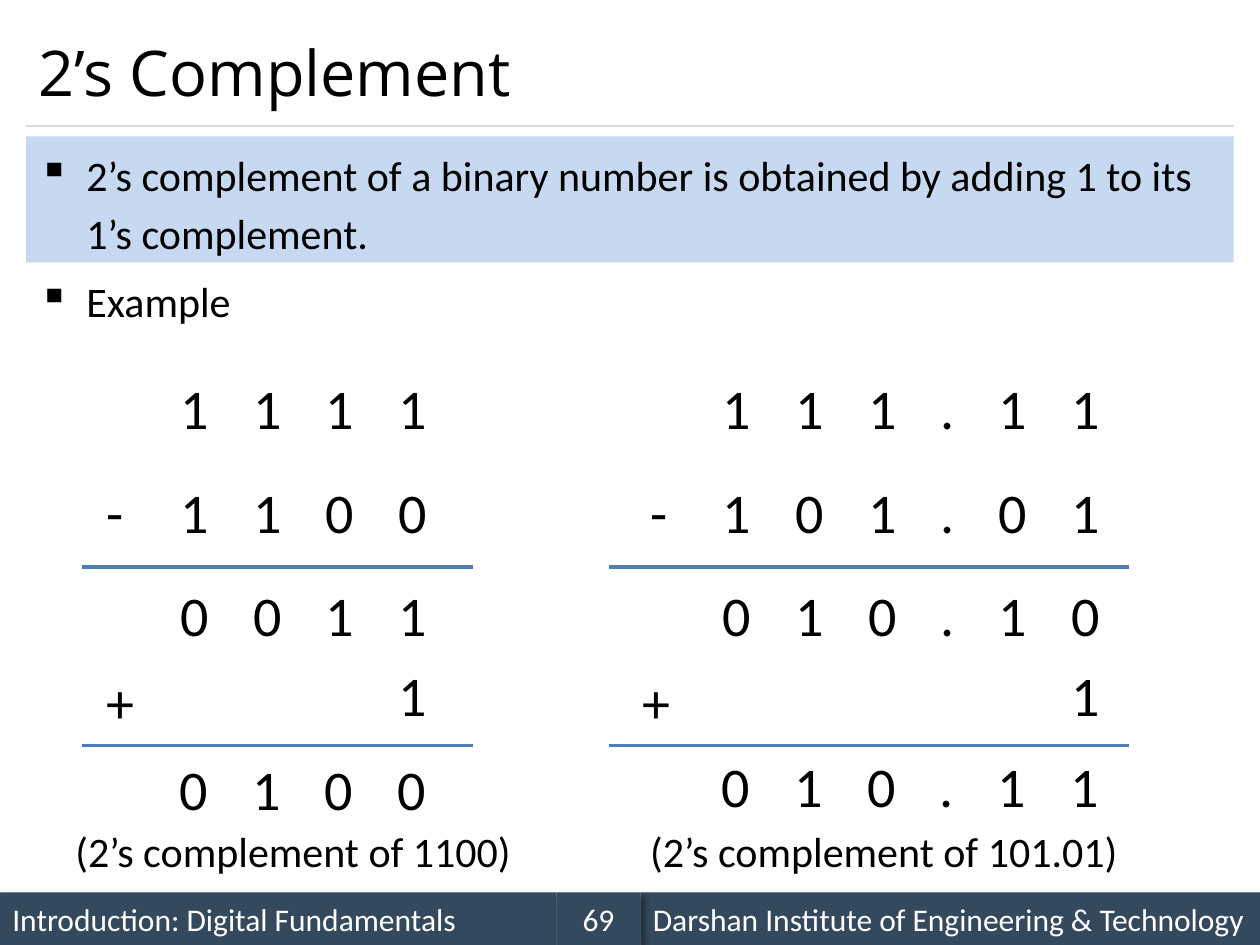
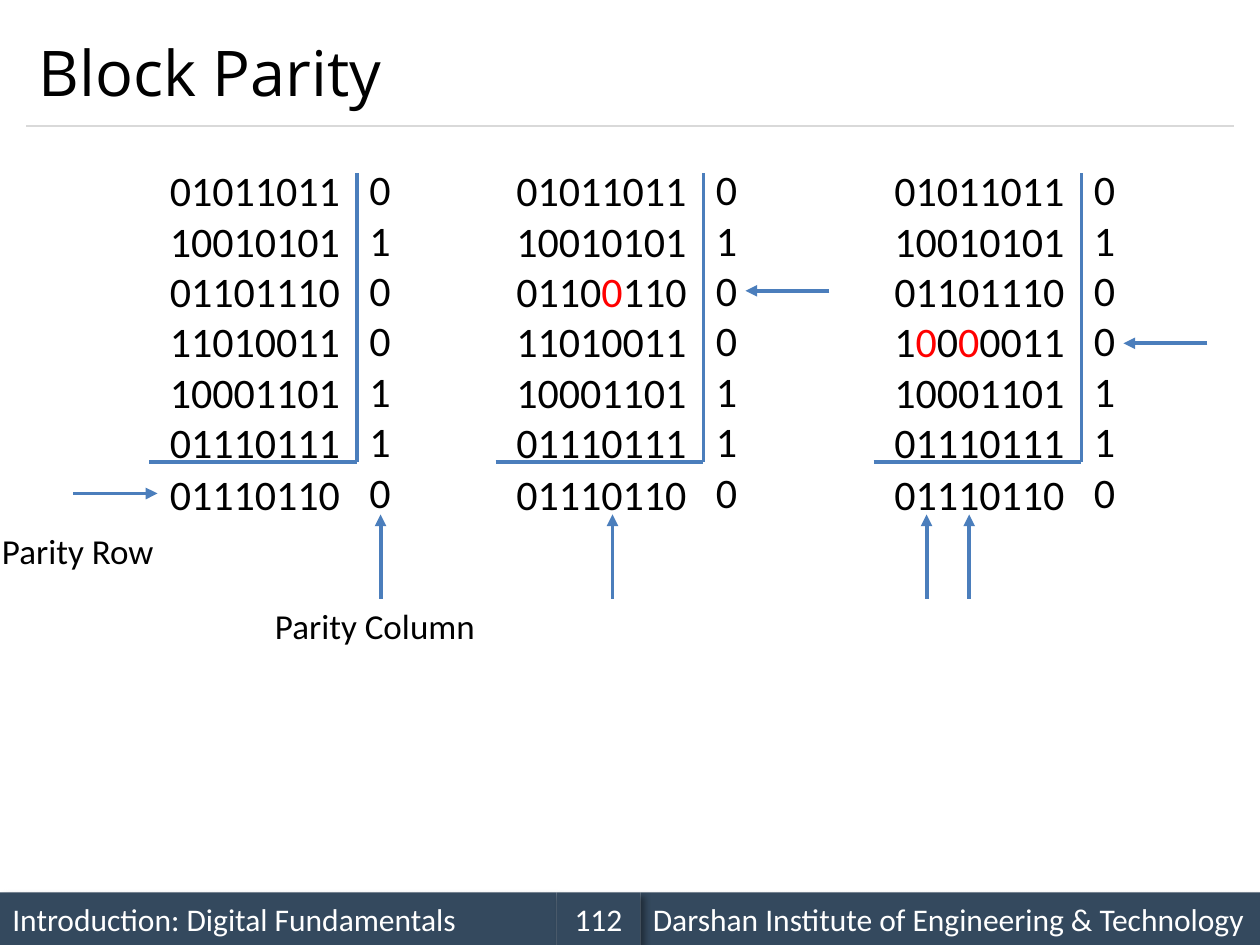
"""Build two slides on binary complements and block parity, on a 120 by 90 grid."""
from itertools import groupby

from lxml import etree
from pptx import Presentation
from pptx.dml.color import RGBColor
from pptx.enum.shapes import MSO_CONNECTOR, MSO_SHAPE
from pptx.enum.text import MSO_ANCHOR, PP_ALIGN
from pptx.oxml.ns import qn
from pptx.util import Inches, Pt

STRAIGHT = MSO_CONNECTOR.STRAIGHT
RECTANGLE = MSO_SHAPE.RECTANGLE
MIDDLE = MSO_ANCHOR.MIDDLE
LEFT, CENTER = PP_ALIGN.LEFT, PP_ALIGN.CENTER
TOP_SIDE, LEFT_SIDE = 0, 1

SLIDE_WIDTH, SLIDE_HEIGHT = Inches(10), Inches(7.5)
CELL = SLIDE_WIDTH / 120
MARGIN, CONTENT_WIDTH = 2.5, 115
COLORS = {"text": "000000", "error": "FF0000", "footer": "34495E", "light": "FFFFFF",
          "rule": "D9D9D9", "band": "C6D9F1", "line": "4B7EBC"}
TITLE_FONT, BODY_FONT = "Open Sans", "Calibri"

DIGIT_WIDTH, POINT_WIDTH, MINUS_WIDTH = 5.2, 3.9, 4.1
DIGIT_STEP, POINT_STEP = 6.92, 5.55
FIRST_ROW, ROW_STEP = 35, 9.85

WORDS = ["01011011", "10010101", "01101110", "11010011", "10001101", "01110111"]
PARITY_COLUMN, PARITY_ROW = "0100110", "01110110"
BLOCK_WIDTH, BLOCK_TOP, BLOCK_BOTTOM = 19, 15, 44
BIT_WIDTH, TEXT_INSET, WORD_STEP = 2.03, 1.2, 5
ARROW_LENGTH = 8


def grid(*cells):
    """Turn grid counts into slide lengths."""
    return [round(cell * CELL) for cell in cells]


def color(name):
    """Look up a named colour."""
    return RGBColor.from_string(COLORS[name])


def add_span(para, words, size, ink="text", font=BODY_FONT):
    """Add one formatted run to a paragraph."""
    span = para.add_run()
    span.text = words
    span.font.size = Pt(size)
    span.font.name = font
    span.font.color.rgb = color(ink)


def add_text(page, place, lines, size, font=BODY_FONT, wrap=True):
    """Add a text box; each line is a list of (words, colour) pairs."""
    box = page.shapes.add_textbox(*grid(*place))
    frame = box.text_frame
    frame.word_wrap = wrap
    for number, line in enumerate(lines):
        para = frame.add_paragraph() if number else frame.paragraphs[0]
        for words, ink in line:
            add_span(para, words, size, ink, font)
    return box


def add_label(page, place, words, size, **options):
    """Add a text box with one plain line."""
    return add_text(page, place, [[(words, "text")]], size, **options)


def add_line(page, start, end, width, ink="line", arrow=False):
    """Add a straight line, with an arrowhead at its end if asked."""
    line = page.shapes.add_connector(STRAIGHT, *grid(*start, *end))
    line.line.color.rgb = color(ink)
    line.line.width = Pt(width)
    if arrow:
        outline = line.line._get_or_add_ln()
        etree.SubElement(outline, qn("a:tailEnd"), type="triangle")
    etree.SubElement(line._element.spPr, qn("a:effectLst"))
    return line


def add_arrow(page, start, end):
    """Add an arrow of the block diagrams."""
    return add_line(page, start, end, 2.25, arrow=True)


def add_footer_part(page, left, width, words, align=LEFT):
    """Add one shadowed part of the footer band."""
    part = page.shapes.add_shape(RECTANGLE, *grid(left, 85, width, 5))
    part.fill.solid()
    part.fill.fore_color.rgb = color("footer")
    part.line.fill.background()
    effects = etree.SubElement(part._element.spPr, qn("a:effectLst"))
    shadow = etree.SubElement(effects, qn("a:outerShdw"), blurRad=str(Pt(4)),
                              dist=str(Pt(3)), dir="2700000", algn="tl", rotWithShape="0")
    black = etree.SubElement(shadow, qn("a:srgbClr"), val=COLORS["text"])
    etree.SubElement(black, qn("a:alpha"), val="40000")
    part.text_frame.vertical_anchor = MIDDLE
    para = part.text_frame.paragraphs[0]
    para.alignment = align
    add_span(para, words, 18, "light")


def add_page(deck, title, number):
    """Add a blank page with the shared title, rule and footer."""
    page = deck.slides.add_slide(deck.slide_layouts[6])
    add_footer_part(page, 0, 53, "Introduction: Digital Fundamentals")
    add_footer_part(page, 61, 59, "Darshan Institute of Engineering & Technology")
    add_footer_part(page, 53, 8, str(number), CENTER)
    add_line(page, (MARGIN, 12), (MARGIN + CONTENT_WIDTH, 12), 0.75, "rule")
    heading = add_label(page, (MARGIN, 1.5, CONTENT_WIDTH, 10.5), title, 36, font=TITLE_FONT)
    heading.text_frame.vertical_anchor = MIDDLE
    return page


def add_bullet(page, top, height, words, fill=None):
    """Add a full-width box holding one bulleted paragraph."""
    box = add_label(page, (MARGIN, top, CONTENT_WIDTH, height), words, 24)
    if fill:
        box.fill.solid()
        box.fill.fore_color.rgb = color(fill)
    para = box.text_frame.paragraphs[0]
    para.line_spacing = 1.14
    properties = para._p.get_or_add_pPr()
    properties.set("marL", str(Inches(0.38)))
    properties.set("indent", str(-Inches(0.38)))
    etree.SubElement(properties, qn("a:buChar"), char="▪")


def add_digits(page, left, top, number):
    """Set a binary number digit by digit and return the left of its last digit."""
    for symbol in number:
        last = left
        width, step = (POINT_WIDTH, POINT_STEP) if symbol == "." else (DIGIT_WIDTH, DIGIT_STEP)
        add_label(page, (left, top, width, 7.7), symbol, 32, wrap=False)
        left += step
    return last


def add_sum(page, left, signs, rule, numbers, result, caption, caption_place):
    """Lay out one worked complement: subtract, add one, and name the result."""
    for row, number in enumerate(numbers):
        last = add_digits(page, left, FIRST_ROW + row * ROW_STEP, number)
    minus_left, plus_left = signs
    add_label(page, (minus_left, FIRST_ROW + ROW_STEP, MINUS_WIDTH, 7.7), "-", 32, wrap=False)
    add_digits(page, plus_left, 63, "+")
    add_digits(page, last, 62.3, "1")
    add_digits(page, left - 0.1, result[1], result[0])
    for top in (54, 71):
        add_line(page, (rule[0], top), (rule[1], top), 2)
    caption_left, caption_width = caption_place
    add_label(page, (caption_left, 78, caption_width, 6), caption, 24, wrap=False)


def mark_word(word, errors):
    """Flip the bits at the error columns and split the word by colour."""
    bits = [(str(1 - int(bit)), "error") if column in errors else (bit, "text")
            for column, bit in enumerate(word)]
    return [("".join(bit for bit, _ in run), ink)
            for ink, run in groupby(bits, key=lambda pair: pair[1])]


def add_block(page, left, error_row=None, error_columns=()):
    """Draw a parity block, with arrows at its wrong bits, and return its parity row."""
    right = left + BLOCK_WIDTH
    lines = [mark_word(word, error_columns if row == error_row else ())
             for row, word in enumerate(WORDS)]
    add_text(page, (left, BLOCK_TOP + 0.1, BLOCK_WIDTH, 30.2), lines, 24)
    add_line(page, (right, 16.5), (right, BLOCK_BOTTOM), 2.25)
    add_line(page, (left - 0.8, BLOCK_BOTTOM), (right, BLOCK_BOTTOM), 2.25)
    add_text(page, (right, BLOCK_TOP, 4, 35.2), [[(bit, "text")] for bit in PARITY_COLUMN], 24)
    parity_row = add_label(page, (left, BLOCK_BOTTOM, BLOCK_WIDTH, 6), PARITY_ROW, 24)
    for column in error_columns:
        middle = left + TEXT_INSET + BIT_WIDTH * (column + 0.5)
        add_arrow(page, (middle, 49 + ARROW_LENGTH), (middle, 49))
    if error_row is not None:
        middle = BLOCK_TOP + 2.7 + WORD_STEP * error_row
        add_arrow(page, (right + 4 + ARROW_LENGTH, middle), (right + 4, middle))
    return parity_row


def build_complement(deck):
    """Build the page on the 2's complement."""
    page = add_page(deck, "2’s Complement", 69)
    add_bullet(page, 13, 12, "2’s complement of a binary number is obtained by adding 1 "
               "to its 1’s complement.", "band")
    add_bullet(page, 25, 6.6, "Example")
    add_sum(page, 16, (9, 9), (7.8, 45), ["1111", "1100", "0011"], ("0100", 71.3),
            "(2’s complement of 1100)", (6, 44.3))
    add_sum(page, 67.65, (60.75, 60), (58, 107.5), ["111.11", "101.01", "010.10"],
            ("010.11", 71), "(2’s complement of 101.01)", (60.75, 47.3))


def build_parity(deck):
    """Build the page on block parity."""
    page = add_page(deck, "Block Parity", 112)
    parity_row = add_block(page, 15)
    add_block(page, 48, 2, (4,))
    add_block(page, 84, 3, (1, 3))
    column_label = add_label(page, (25, 57, 22.5, 5.3), "Parity Column", 20)
    add_label(page, (-1, 49.8, 22.5, 5.3), "Parity Row", 20)
    column_arrow = add_arrow(page, (36.25, 49 + ARROW_LENGTH), (36.25, 49))
    column_arrow.begin_connect(column_label, TOP_SIDE)
    row_arrow = add_arrow(page, (15 - ARROW_LENGTH, 47), (15, 47))
    row_arrow.end_connect(parity_row, LEFT_SIDE)


def main():
    """Build and save the deck."""
    deck = Presentation()
    deck.slide_width, deck.slide_height = SLIDE_WIDTH, SLIDE_HEIGHT
    build_complement(deck)
    build_parity(deck)
    deck.save("out.pptx")


if __name__ == "__main__":
    main()
